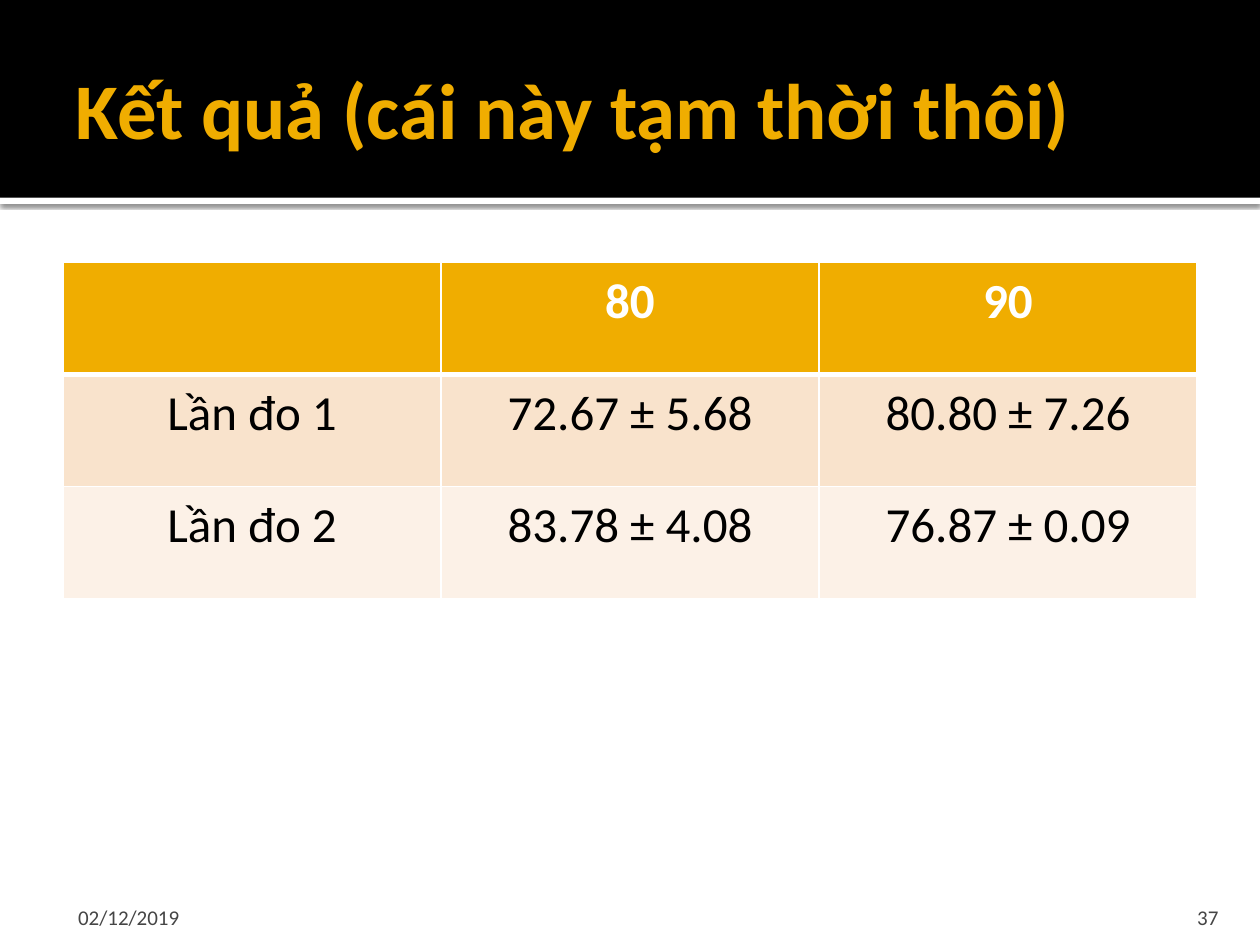
from dataclasses import dataclass

from lxml import etree
from pptx import Presentation
from pptx.dml.color import RGBColor
from pptx.enum import shapes, text
from pptx.oxml import parse_xml
from pptx.oxml.ns import nsdecls, qn
from pptx.util import Pt


@dataclass(frozen=True)
class Theme:
    font: str = "Calibri"
    accent: str = "F0AD00"
    dark: str = "000000"
    light: str = "FFFFFF"
    muted: str = "454545"
    bands: tuple = ("F9E3CC", "FCF1E7")
    title_size: float = 45
    table_size: float = 28
    footer_size: float = 12


THEME = Theme()
ROWS = [
    ["", "80", "90"],
    ["Lần đo 1", "72.67 ± 5.68", "80.80 ± 7.26"],
    ["Lần đo 2", "83.78 ± 4.08", "76.87 ± 0.09"],
]


def rgb(value):
    return RGBColor.from_string(value)


def add_run(p, words, size, color, bold=False):
    r = p.add_run()
    r.text = words
    r.font.name = THEME.font
    r.font.size = Pt(size)
    r.font.bold = bold
    r.font.color.rgb = rgb(color)


def set_frame(tf, anchor, left, top, right, bottom):
    tf.word_wrap = True
    tf.auto_size = text.MSO_AUTO_SIZE.NONE
    tf.vertical_anchor = anchor
    tf.margin_left, tf.margin_top = Pt(left), Pt(top)
    tf.margin_right, tf.margin_bottom = Pt(right), Pt(bottom)


def add_bar(s, x, y, w, h, color):
    sp = s.shapes.add_shape(shapes.MSO_SHAPE.RECTANGLE, Pt(x), Pt(y), Pt(w), Pt(h))
    sp.shadow.inherit = False
    sp.fill.solid()
    sp.fill.fore_color.rgb = rgb(color)
    sp.line.fill.background()
    return sp


def add_header(s, x, y, w, h, words):
    # White rule with a soft shadow, below the dark band
    rule = add_bar(s, x, y + h, w, 3.6, THEME.light)
    effects = rule.element.spPr.find(qn("a:effectLst"))
    effects.append(parse_xml(
        f'<a:outerShdw {nsdecls("a")} blurRad="{Pt(2.5)}" dist="{Pt(0.8)}" '
        f'dir="5400000" rotWithShape="0"><a:srgbClr val="{THEME.dark}">'
        '<a:alpha val="60000"/></a:srgbClr></a:outerShdw>'))
    add_bar(s, x, y, w, h, THEME.dark)

    # Title, brought in front of the band
    title = s.shapes.title
    title.left, title.top = Pt(x + 36), Pt(y + 12.2)
    title.width, title.height = Pt(w - 72), Pt(98.6)
    title.element.getparent().append(title.element)
    tf = title.text_frame
    set_frame(tf, text.MSO_ANCHOR.MIDDLE, 7.2, 3.6, 3.6, 3.6)
    p = tf.paragraphs[0]
    p.alignment = text.PP_ALIGN.LEFT
    add_run(p, words, THEME.title_size, THEME.accent, bold=True)


def set_borders(cell, **widths):
    tc_pr = cell._tc.get_or_add_tcPr()
    for side in "LRTB":
        ln = etree.SubElement(tc_pr, qn(f"a:ln{side}"), w=str(Pt(widths.get(side, 1))))
        fill = etree.SubElement(ln, qn("a:solidFill"))
        etree.SubElement(fill, qn("a:srgbClr"), val=THEME.light)


def add_results(s, x, y, w, h, rows):
    table = s.shapes.add_table(len(rows), len(rows[0]), Pt(x), Pt(y), Pt(w), Pt(h)).table
    for i, row in enumerate(rows):
        header = i == 0
        fill = THEME.accent if header else THEME.bands[(i - 1) % 2]
        # A thick line parts the header from the data
        widths = {0: {"B": 3}, 1: {"T": 3}}.get(i, {})
        for j, words in enumerate(row):
            cell = table.cell(i, j)
            set_borders(cell, **widths)
            cell.fill.solid()
            cell.fill.fore_color.rgb = rgb(fill)
            cell.margin_left = cell.margin_right = Pt(5)
            cell.margin_top = cell.margin_bottom = Pt(0)
            if words:
                p = cell.text_frame.paragraphs[0]
                p.alignment = text.PP_ALIGN.CENTER
                p.line_spacing = 1.15
                add_run(p, words, THEME.table_size,
                        THEME.light if header else THEME.dark, bold=header)


def add_footer(s, x, y, w, h, date, number):
    parts = [
        (x, 168, date, text.PP_ALIGN.LEFT, 8.6, 3.6),
        (x + w - 57.6, 57.6, number, text.PP_ALIGN.RIGHT, 7.2, 7.2),
    ]
    for left, width, words, align, inset_left, inset_right in parts:
        tf = s.shapes.add_textbox(Pt(left), Pt(y), Pt(width), Pt(h)).text_frame
        set_frame(tf, text.MSO_ANCHOR.BOTTOM, inset_left, 3.6, inset_right, 0)
        p = tf.paragraphs[0]
        p.alignment = align
        add_run(p, words, THEME.footer_size, THEME.muted)


def main():
    prs = Presentation()
    prs.slide_width, prs.slide_height = Pt(720), Pt(540)
    s = prs.slides.add_slide(prs.slide_layouts[5])
    add_header(s, 0, 0, 720, 113, "Kết quả (cái này tạm thời thôi)")
    add_footer(s, 36, 509.8, 667.4, 21.6, "02/12/2019", "37")
    add_results(s, 36, 150, 648, 192, ROWS)
    prs.save("out.pptx")


if __name__ == "__main__":
    main()
